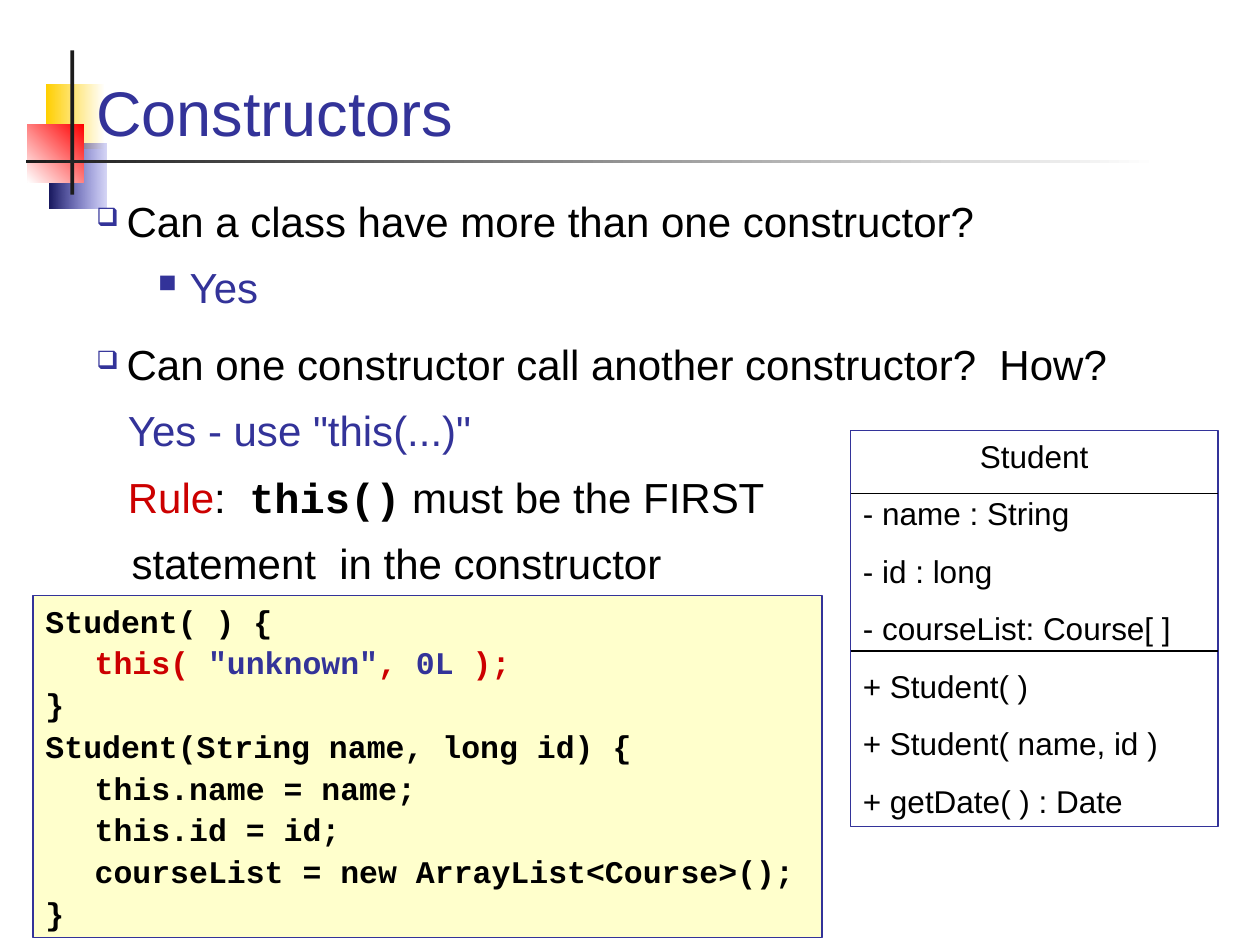
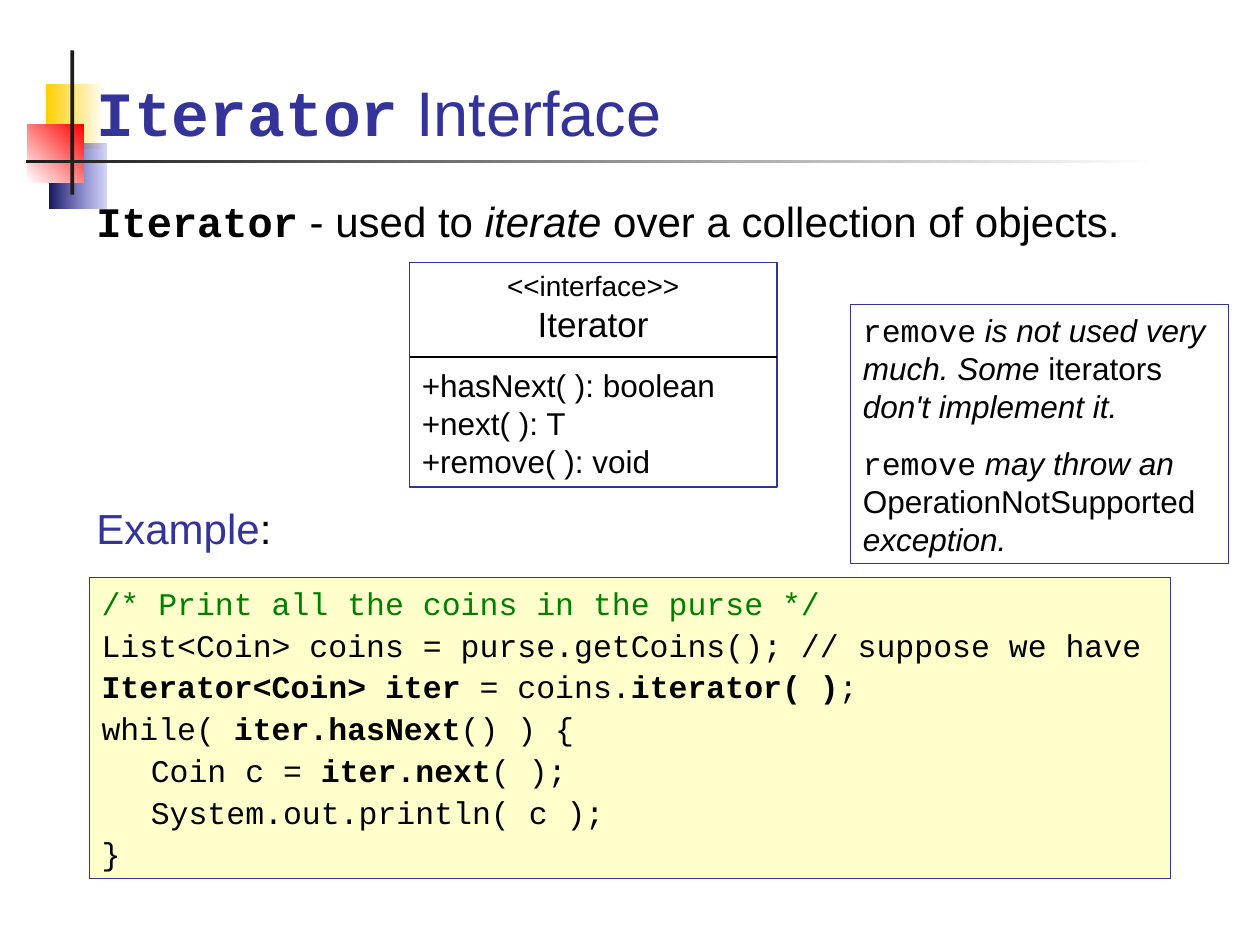
"""Build two Java class slides: constructors and the Iterator interface."""
import pptx
import pptx.dml.color
import pptx.enum.shapes
import pptx.enum.text
import pptx.oxml.ns
import pptx.util
from lxml import etree

HUES = {
    "black": "000000", "ink": "333399", "red": "CC0000", "green": "008000",
    "cream": "FFFFCC", "white": "FFFFFF", "gold": "FFCF01", "blue": "3333CC",
    "navy": "17175E", "scarlet": "FF0000", "coal": "1C1C1C",
}
UNIT = pptx.util.Inches(10) / 120
LEADING = 1.204
ALIGN = pptx.enum.text.PP_ALIGN
ANCHOR = pptx.enum.text.MSO_ANCHOR
RECT = pptx.enum.shapes.MSO_SHAPE.RECTANGLE
LINE = pptx.enum.shapes.MSO_CONNECTOR.STRAIGHT


def rgb(hue):
    """Return the named colour."""
    return pptx.dml.color.RGBColor.from_string(HUES[hue])


def grid(*cells):
    """Turn grid units, 120 to the slide's width, into lengths."""
    return [pptx.util.Emu(round(cell * UNIT)) for cell in cells]


def child(parent, tag, **attrs):
    """Append a drawing element with its attributes."""
    node = etree.SubElement(parent, pptx.oxml.ns.qn("a:" + tag))
    for key, value in attrs.items():
        node.set(key, str(value))
    return node


def block(slide, area):
    """Add a plain rectangle without line or shadow."""
    shape = slide.shapes.add_shape(RECT, *grid(*area))
    shape.shadow.inherit = False
    shape.line.fill.background()
    return shape


def blend(slide, area, start, end, angle=180, alpha=None):
    """Add a rectangle with a two-colour gradient."""
    fill = block(slide, area).fill
    fill.gradient()
    fill.gradient_angle = angle
    for stop, hue in zip(fill.gradient_stops, (start, end)):
        stop.color.rgb = rgb(hue)
    if alpha:
        first = fill.gradient_stops[0]
        child(first._gs[0], "alpha", val=alpha * 1000)


def rule(slide, left, top, width):
    """Draw a thin level line."""
    line = slide.shapes.add_connector(LINE, *grid(left, top, left + width, top))
    line.line.color.rgb = rgb("black")
    line.line.width = pptx.util.Pt(0.75)
    child(line._element.spPr, "effectLst")


def write(para, runs, size, before=0, after=0, indent=0, hang=0, bullet=None, center=False):
    """Fill a paragraph; marks are c for code, b for bold, i for italic."""
    props = para._p.get_or_add_pPr()
    props.set("marL", str(pptx.util.Inches(indent)))
    props.set("indent", str(-pptx.util.Inches(hang)))
    if bullet:
        child(child(props, "buClr"), "srgbClr", val=HUES["ink"])
        child(props, "buSzPct", val=60000)
        child(props, "buChar", char=bullet)
    else:
        child(props, "buNone")
    para.alignment = ALIGN.CENTER if center else ALIGN.LEFT
    para.line_spacing = pptx.util.Pt(size * LEADING)
    para.space_before = pptx.util.Pt(before)
    para.space_after = pptx.util.Pt(after)
    for text, marks, hue in runs:
        run = para.add_run()
        run.text = text
        run.font.size = pptx.util.Pt(size)
        run.font.name = "Courier New" if "c" in marks else "Arial"
        run.font.bold = "b" in marks
        run.font.italic = "i" in marks
        run.font.color.rgb = rgb(hue)


def fill_text(shape, paras, anchor=ANCHOR.TOP):
    """Write paragraphs given as (runs, options) into a shape."""
    frame = shape.text_frame
    frame.word_wrap = True
    frame.vertical_anchor = anchor
    for index, (runs, opts) in enumerate(paras):
        para = frame.add_paragraph() if index else frame.paragraphs[0]
        write(para, runs, **opts)


def plain(text, marks="", hue="black"):
    """Return one run."""
    return (text, marks, hue)


def panel(slide, area, paras, fill=None):
    """Add a blue-edged box with text."""
    shape = block(slide, area)
    shape.line.color.rgb = rgb("ink")
    shape.line.width = pptx.util.Pt(0.75)
    if fill:
        shape.fill.solid()
        shape.fill.fore_color.rgb = rgb(fill)
    else:
        shape.fill.background()
    fill_text(shape, paras)


def code(slide, area, lines):
    """Add a cream code box from (depth, runs) lines."""
    paras = [(runs, dict(size=18, before=2.2 if row else 0, indent=0.39 * depth))
             for row, (depth, runs) in enumerate(lines)]
    panel(slide, area, paras, "cream")


def body(slide, height, paras):
    """Add the main text."""
    box = slide.shapes.add_textbox(*grid(8, 18, 104, height))
    fill_text(box, [(runs, dict(size=24, **opts)) for runs, opts in paras])


def start(deck, title):
    """Add a slide with the corner motif and its title."""
    slide = deck.slides.add_slide(deck.slide_layouts[6])
    blend(slide, (4.4, 8, 5.6, 6.2), "white", "gold")
    blend(slide, (4.7, 13.7, 5.4, 6.2), "blue", "navy", alpha=20)
    blend(slide, (2.6, 11.85, 5.4, 5.5), "scarlet", "white", angle=225)
    bar = block(slide, (6.7, 4.8, 0.36, 13.75))
    bar.fill.solid()
    bar.fill.fore_color.rgb = rgb("coal")
    blend(slide, (2.5, 15.2, 107.9, 0.36), "white", "coal")
    box = slide.shapes.add_textbox(*grid(8, 3.4, 104, 11.4))
    fill_text(box, [(title, dict(size=36))], ANCHOR.BOTTOM)
    return slide


def build(deck):
    """Make the constructors slide."""
    slide = start(deck, [plain("Constructors", hue="ink")])
    ask = dict(indent=0.24, hang=0.24, bullet="❑")
    body(slide, 58.5, [
        ([plain("Can a class have more than one constructor?")], ask),
        ([plain("Yes", hue="ink")], dict(before=9, indent=0.74, hang=0.25, bullet="■")),
        ([plain("Can one constructor call another constructor?  How?")], dict(ask, before=15)),
        ([plain('Yes - use "this(...)"', hue="ink")], dict(before=9, indent=0.25)),
        ([plain("Rule", hue="red"), plain(":  "), plain("this()", "cb"),
          plain(" must be the FIRST")], dict(before=9, indent=0.25)),
        ([plain("statement  in the constructor")], dict(before=9, indent=0.28)),
    ])
    parts = ["Student", "- name : String", "- id : long", "- courseList: Course[ ]",
             "+ Student( )", "+ Student( name, id )", "+ getDate( ) : Date"]
    panel(slide, (81, 41, 35, 37.7), [
        ([plain(part)], dict(size=18, before=11.2 if row else 0, center=row == 0))
        for row, part in enumerate(parts)])
    for top in (47, 62):
        rule(slide, 81, top, 35)
    call = [plain("this( ", "cb", "red"), plain('"unknown"', "cb", "ink"),
            plain(", ", "cb", "red"), plain("0L", "cb", "ink"), plain(" );", "cb", "red")]
    code(slide, (3.15, 56.7, 75.15, 32.6), [
        (0, [plain("Student( ) {", "cb")]),
        (1, call),
        (0, [plain("}", "cb")]),
        (0, [plain("Student(String name, long id) {", "cb")]),
        (1, [plain("this.name = name;", "cb")]),
        (1, [plain("this.id = id;", "cb")]),
        (1, [plain("courseList = new ArrayList<Course>();", "cb")]),
        (0, [plain("}", "cb")]),
    ])


def iterate(deck):
    """Make the Iterator slide."""
    slide = start(deck, [plain("Iterator", "cb", "ink"), plain(" Interface", hue="ink")])
    body(slide, 36, [
        ([plain("Iterator", "cb"), plain(" - used to "), plain("iterate ", "i"),
          plain("over a collection of objects.")], {}),
        ([plain("Example", hue="ink"), plain(":")], dict(before=146.7)),
    ])
    head = [([plain("<<interface>>")], dict(size=16, center=True)),
            ([plain("Iterator")], dict(size=20, after=12.5, center=True))]
    calls = ["+hasNext( ): boolean", "+next( ): T", "+remove( ): void"]
    panel(slide, (39, 25, 35, 21.4), head + [([plain(call)], dict(size=18)) for call in calls])
    rule(slide, 39, 34, 35)
    panel(slide, (81, 29, 36, 24.7), [
        ([plain("remove", "c"), plain(" is not used very much. Some ", "i"),
          plain("iterators"), plain(" don't implement it.", "i")], dict(size=18)),
        ([plain("remove", "c"), plain(" may throw an ", "i"),
          plain("OperationNotSupported"), plain(" exception.", "i")],
         dict(size=18, before=11.2)),
    ])
    code(slide, (8.5, 55, 103, 28.7), [
        (0, [plain("/* Print all the coins in the purse */", "c", "green")]),
        (0, [plain("List<Coin> coins = purse.getCoins(); // suppose we have", "c")]),
        (0, [plain("Iterator<Coin> iter", "cb"), plain(" = coins.", "c"),
             plain("iterator( )", "cb"), plain(";", "c")]),
        (0, [plain("while( ", "c"), plain("iter.hasNext", "cb"), plain("() ) {", "c")]),
        (1, [plain("Coin c = ", "c"), plain("iter.next", "cb"), plain("( );", "c")]),
        (1, [plain("System.out.println( c );", "c")]),
        (0, [plain("}", "c")]),
    ])


def main():
    """Build and save the deck."""
    deck = pptx.Presentation()
    deck.slide_width, deck.slide_height = grid(120, 90)
    build(deck)
    iterate(deck)
    deck.save("out.pptx")


if __name__ == "__main__":
    main()
